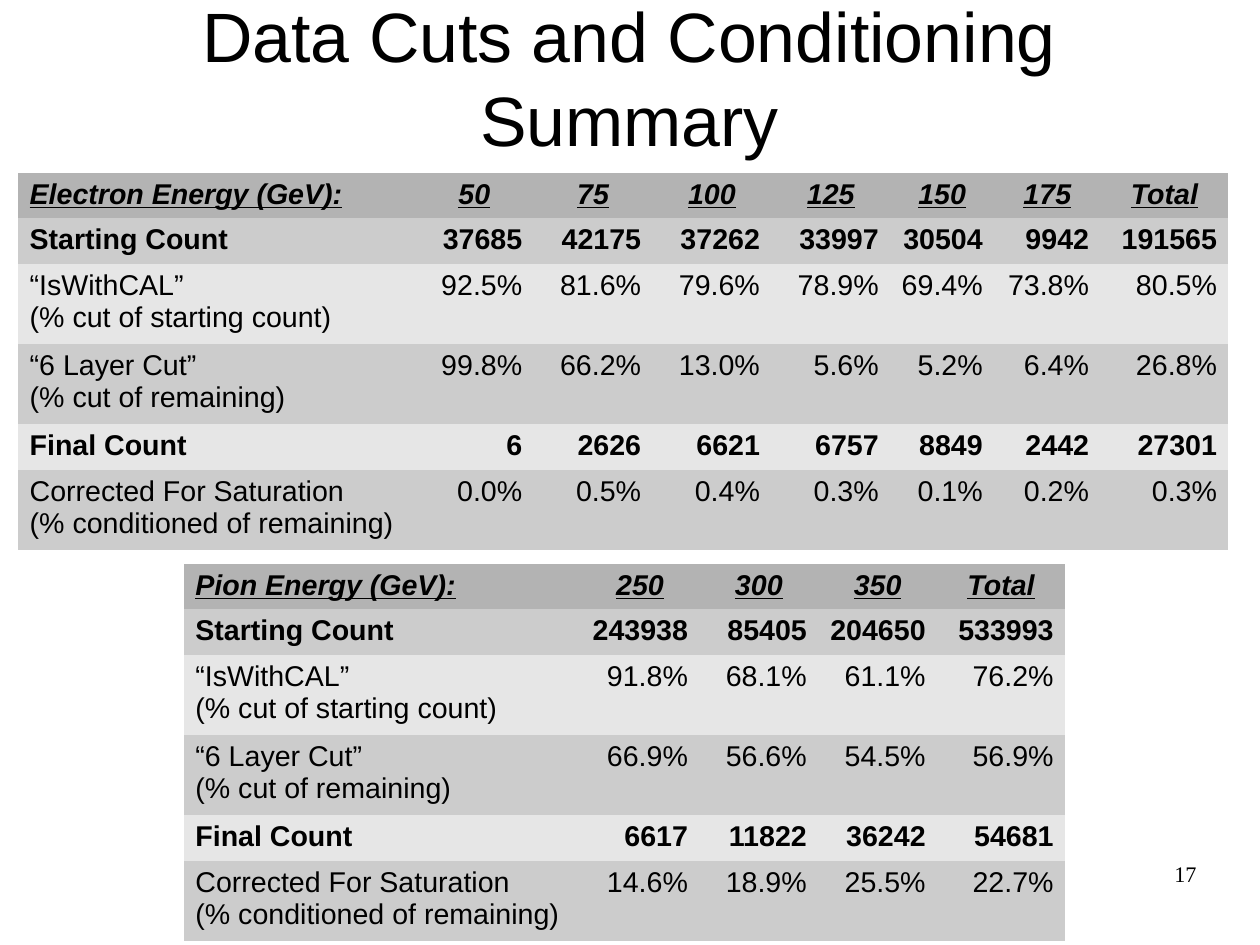
import dataclasses
import pptx
import pptx.dml.color
import pptx.enum.text
import pptx.util

Inches = pptx.util.Inches
Pt = pptx.util.Pt
RGBColor = pptx.dml.color.RGBColor
Align = pptx.enum.text.PP_ALIGN
Anchor = pptx.enum.text.MSO_ANCHOR

BLACK = RGBColor(0x00, 0x00, 0x00)
HEAD = RGBColor(0xB3, 0xB3, 0xB3)
DARK = RGBColor(0xCC, 0xCC, 0xCC)
LIGHT = RGBColor(0xE6, 0xE6, 0xE6)
PLAIN = "{2D5ABB26-0587-4C30-8999-92F81FD0307C}"
LABELS = [
    "Starting Count",
    "“IsWithCAL”\n(% cut of starting count)",
    "“6 Layer Cut”\n(% cut of remaining)",
    "Final Count",
    "Corrected For Saturation\n(% conditioned of remaining)",
]


@dataclasses.dataclass
class Cuts:
    name: str
    left: float
    top: float
    widths: list[float]
    heads: str
    rows: list[str]


TABLES = [
    Cuts("Electron Energy (GeV):", 0.16, 1.51,
         [3.47, 1.04, 1.04, 1.04, 1.04, 0.91, 0.93, 1.12],
         "50 75 100 125 150 175 Total",
         ["37685 42175 37262 33997 30504 9942 191565",
          "92.5% 81.6% 79.6% 78.9% 69.4% 73.8% 80.5%",
          "99.8% 66.2% 13.0% 5.6% 5.2% 6.4% 26.8%",
          "6 2626 6621 6757 8849 2442 27301",
          "0.0% 0.5% 0.4% 0.3% 0.1% 0.2% 0.3%"]),
    Cuts("Pion Energy (GeV):", 1.61, 4.93,
         [3.47, 1.04, 1.04, 1.04, 1.12],
         "250 300 350 Total",
         ["243938 85405 204650 533993",
          "91.8% 68.1% 61.1% 76.2%",
          "66.9% 56.6% 54.5% 56.9%",
          "6617 11822 36242 54681",
          "14.6% 18.9% 25.5% 22.7%"]),
]


def style(para, size: float, align, face: str = "Arial") -> None:
    para.alignment = align
    para.font.size = Pt(size)
    para.font.name = face
    para.font.color.rgb = BLACK


def clear(frame) -> None:
    frame.margin_left = frame.margin_right = 0
    frame.margin_top = frame.margin_bottom = 0
    frame.word_wrap = True


def draw(slide, cuts: Cuts) -> None:
    lines = [[cuts.name, *cuts.heads.split()]]
    lines += [[tag, *row.split()] for tag, row in zip(LABELS, cuts.rows)]
    highs = [0.7 if "\n" in line[0] else 0.4 for line in lines]
    frame = slide.shapes.add_table(
        len(lines), len(cuts.widths), Inches(cuts.left), Inches(cuts.top),
        Inches(sum(cuts.widths)), Inches(sum(highs)))
    grid = frame.table
    grid.first_row = grid.horz_banding = False
    frame.element.find(".//{*}tableStyleId").text = PLAIN
    for col, width in zip(grid.columns, cuts.widths):
        col.width = Inches(width)
    for r, line in enumerate(lines):
        grid.rows[r].height = Inches(highs[r])
        fill = HEAD if r == 0 else (LIGHT, DARK)[r % 2]
        for c, text in enumerate(line):
            cell = grid.cell(r, c)
            cell.text = text
            cell.fill.solid()
            cell.fill.fore_color.rgb = fill
            align = Align.LEFT if c == 0 else Align.CENTER if r == 0 else Align.RIGHT
            for para in cell.text_frame.paragraphs:
                style(para, 18, align)
                para.font.bold = "\n" not in line[0]
                para.font.italic = para.font.underline = r == 0


def main() -> None:
    deck = pptx.Presentation()
    deck.slide_width = pptx.util.Emu(10080625)
    deck.slide_height = pptx.util.Emu(7559675)
    slide = deck.slides.add_slide(deck.slide_layouts[5])

    title = slide.shapes.title
    title.left, title.top = Inches(0.55), Inches(-0.02)
    title.width, title.height = Inches(9.92), Inches(1.38)
    title.text = "Data Cuts and Conditioning Summary"
    clear(title.text_frame)
    title.text_frame.vertical_anchor = Anchor.MIDDLE
    style(title.text_frame.paragraphs[0], 44, Align.CENTER)

    for cuts in TABLES:
        draw(slide, cuts)

    page = slide.shapes.add_textbox(
        Inches(7.9), Inches(7.53), Inches(2.57), Inches(0.57)).text_frame
    clear(page)
    page.text = "17"
    style(page.paragraphs[0], 14, Align.RIGHT, "Times New Roman")

    deck.save("out.pptx")


if __name__ == "__main__":
    main()
